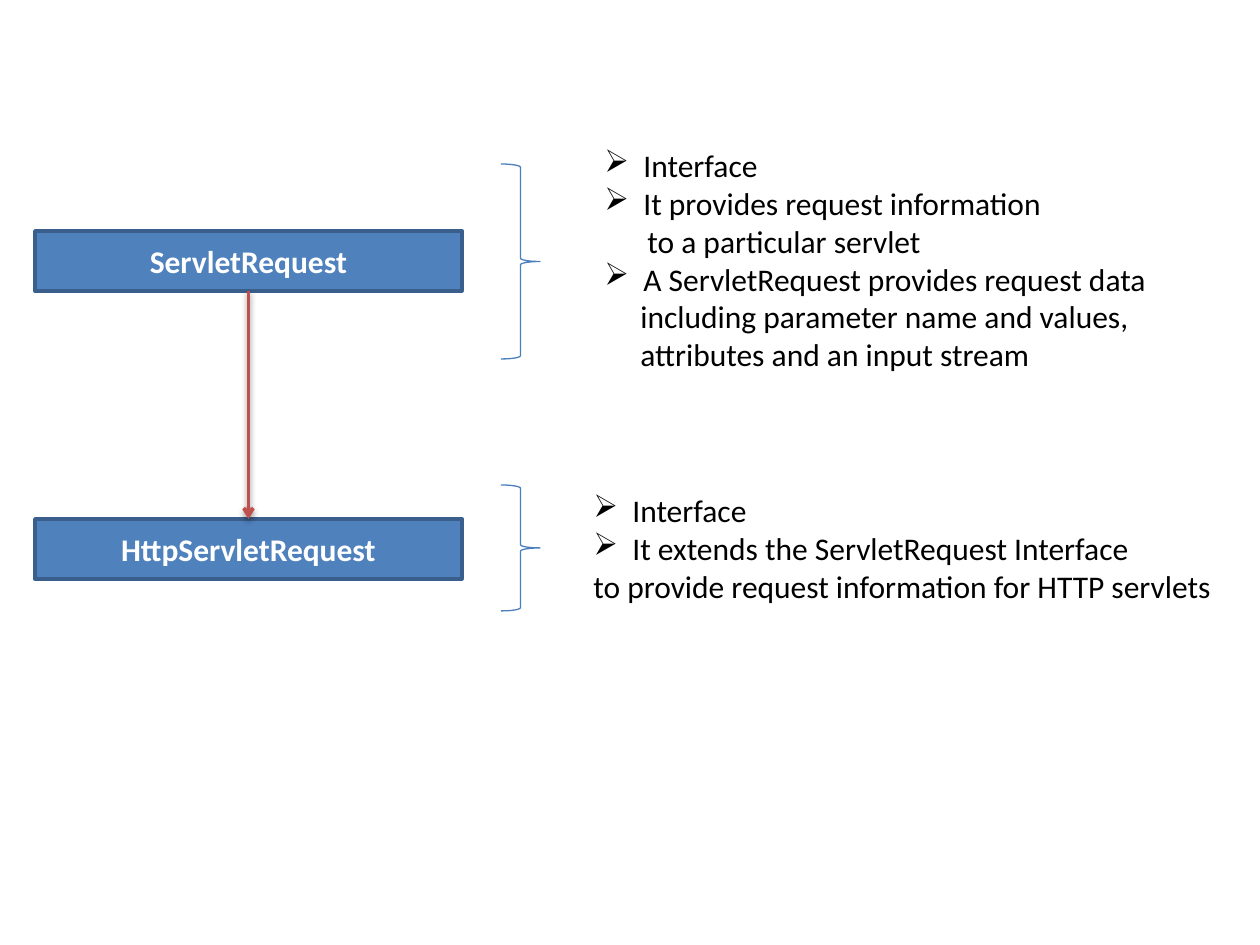
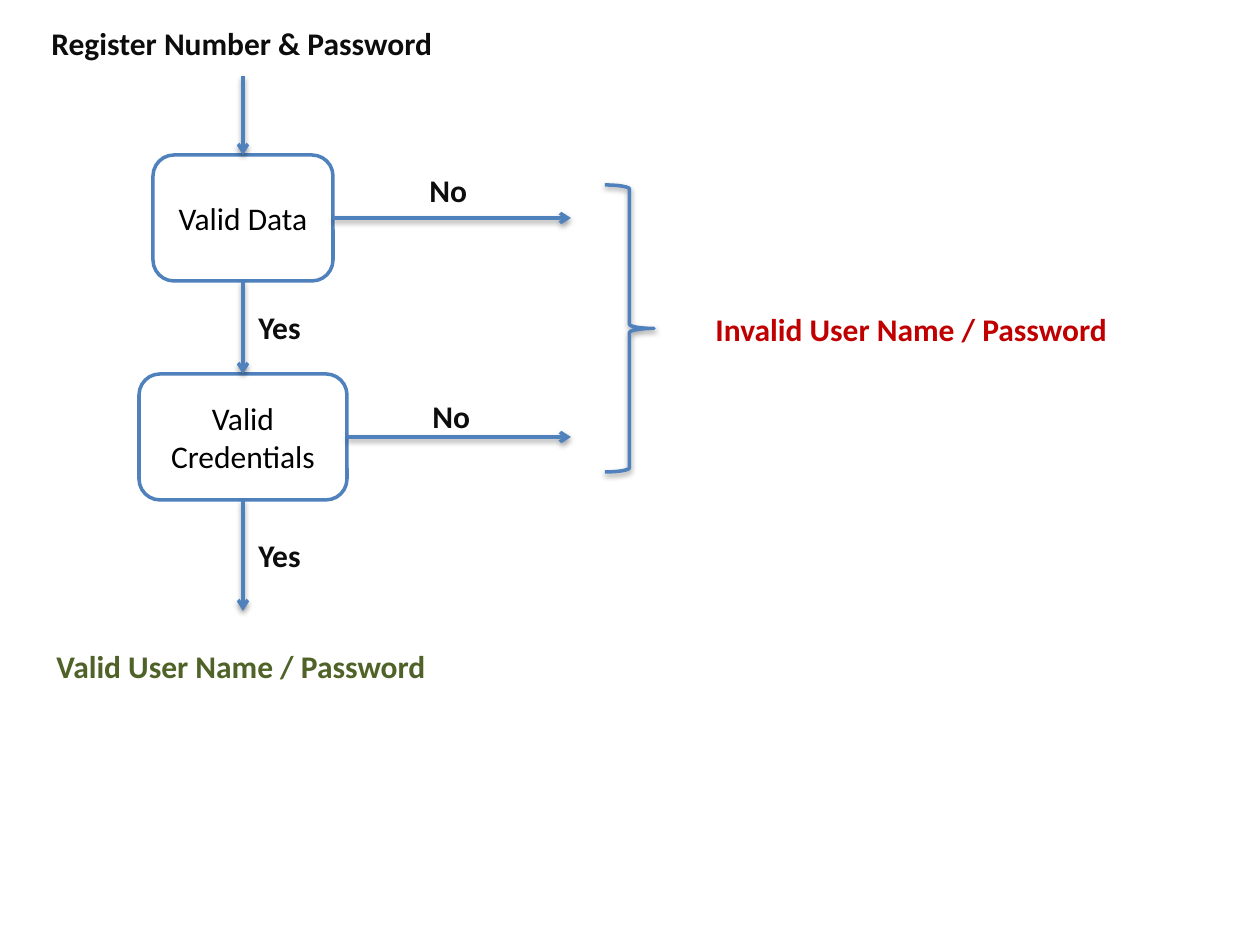
from pptx import Presentation
from pptx.dml.color import RGBColor
from pptx.enum import shapes, text
from pptx.oxml import parse_xml
from pptx.oxml.ns import nsdecls
from pptx.util import Pt

PX = 914400 / 126
WHITE = RGBColor(0xFF, 0xFF, 0xFF)
BLACK = RGBColor(0x00, 0x00, 0x00)
INK = RGBColor(0x0D, 0x0D, 0x0D)
BLUE = RGBColor(0x4F, 0x81, 0xBD)
DARK_BLUE = RGBColor(0x3A, 0x5F, 0x8C)
BRACE_BLUE = RGBColor(0x4B, 0x7E, 0xBC)
RED = RGBColor(0xC0, 0x50, 0x4D)
DARK_RED = RGBColor(0xC0, 0x00, 0x00)
GREEN = RGBColor(0x4F, 0x62, 0x28)

SHADOW = (f'<a:effectLst {nsdecls("a")}><a:outerShdw blurRad="40000" dist="20000" '
          'dir="5400000" rotWithShape="0"><a:srgbClr val="000000">'
          '<a:alpha val="38000"/></a:srgbClr></a:outerShdw></a:effectLst>')
BULLET_INDENT = 39


def write(shape, lines, color=BLACK, bold=False, centred=False, wrap=True):
    """Fill a shape with (words, left indent, bulleted) lines, or with one string."""
    if isinstance(lines, str):
        lines = [(lines, 0, False)]
    frame = shape.text_frame
    frame.word_wrap = wrap
    if centred:
        frame.vertical_anchor = text.MSO_ANCHOR.MIDDLE
    for number, (words, indent, bulleted) in enumerate(lines):
        paragraph = frame.add_paragraph() if number else frame.paragraphs[0]
        if centred:
            paragraph.alignment = text.PP_ALIGN.CENTER
        properties = paragraph._p.get_or_add_pPr()
        properties.set("marL", str(round(indent * PX)))
        if bulleted:
            properties.set("indent", str(round(-indent * PX)))
            properties.append(parse_xml(f'<a:buChar {nsdecls("a")} char="➢"/>'))
        run = paragraph.add_run()
        run.text = words
        run.font.name = "Calibri"
        run.font.size = Pt(18)
        run.font.bold = bold
        run.font.color.rgb = color


def add_arrow(slide, start, end, color, source=None, target=None):
    """Draw a shadowed arrow; source and target are (shape, connection site)."""
    arrow = slide.shapes.add_connector(
        shapes.MSO_CONNECTOR.STRAIGHT, *(round(n * PX) for n in (*start, *end)))
    if source:
        arrow.begin_connect(*source)
    if target:
        arrow.end_connect(*target)
    arrow.line.color.rgb = color
    arrow.line.width = Pt(2)
    arrow.line._get_or_add_ln().append(
        parse_xml(f'<a:tailEnd {nsdecls("a")} type="arrow"/>'))
    arrow._element.spPr.append(parse_xml(SHADOW))


presentation = Presentation()
presentation.slide_width = round(1260 * PX)
presentation.slide_height = round(945 * PX)
blank_layout = presentation.slide_layouts[6]

# Slide 1: request interfaces
slide = presentation.slides.add_slide(blank_layout)
interfaces = []
for name, top in (("ServletRequest", 231), ("HttpServletRequest", 519)):
    box = slide.shapes.add_shape(shapes.MSO_SHAPE.RECTANGLE,
                                 *(round(n * PX) for n in (35, top, 427, 60)))
    box.shadow.inherit = False
    box.fill.solid()
    box.fill.fore_color.rgb = BLUE
    box.line.color.rgb = DARK_BLUE
    box.line.width = Pt(2)
    write(box, name, color=WHITE, bold=True, centred=True)
    interfaces.append(box)
add_arrow(slide, (248, 291), (248, 519), RED, (interfaces[0], 2), (interfaces[1], 0))

for top, height in ((164, 195), (485, 126)):
    brace = slide.shapes.add_shape(shapes.MSO_SHAPE.RIGHT_BRACE,
                                   *(round(n * PX) for n in (501, top, 39, height)))
    brace.shadow.inherit = False
    brace.fill.background()
    brace.line.color.rgb = BRACE_BLUE
    brace.line.width = Pt(0.75)

request_notes = [
    ("Interface", BULLET_INDENT, True),
    ("It provides request information", BULLET_INDENT, True),
    ("to a particular servlet", 43, False),
    ("A ServletRequest provides request data", BULLET_INDENT, True),
    ("including parameter name and values,", 36, False),
    ("attributes and an input stream", 36, False),
]
http_notes = [
    ("Interface", BULLET_INDENT, True),
    ("It extends the ServletRequest Interface", BULLET_INDENT, True),
    ("to provide request information for HTTP servlets", 0, False),
]
for notes, place, wrap in ((request_notes, (592, 140, 650, 242), True),
                           (http_notes, (581, 485, 650, 127), False)):
    box = slide.shapes.add_textbox(*(round(n * PX) for n in place))
    write(box, notes, wrap=wrap)

# Slide 2: login checks
slide = presentation.slides.add_slide(blank_layout)
checks = []
for name, left, top, width in (("Valid Data", 153, 155, 180),
                               ("Valid Credentials", 139, 374, 208)):
    box = slide.shapes.add_shape(shapes.MSO_SHAPE.ROUNDED_RECTANGLE,
                                 *(round(n * PX) for n in (left, top, width, 126)))
    box.shadow.inherit = False
    box.fill.solid()
    box.fill.fore_color.rgb = WHITE
    box.line.color.rgb = BLUE
    box.line.width = Pt(2)
    write(box, name, centred=True)
    checks.append(box)
data_check, credentials_check = checks

for start, end, source, target in (
    ((243, 76), (243, 155), None, (data_check, 0)),
    ((243, 281), (243, 374), (data_check, 2), (credentials_check, 0)),
    ((333, 218), (571, 218), (data_check, 3), None),
    ((347, 437), (571, 437), (credentials_check, 3), None),
    ((243, 500), (243, 611), (credentials_check, 2), None),
):
    add_arrow(slide, start, end, BLUE, source, target)

brace = slide.shapes.add_shape(shapes.MSO_SHAPE.RIGHT_BRACE,
                               *(round(n * PX) for n in (605, 185, 49, 287)))
brace.fill.background()
brace.line.color.rgb = BLUE
brace.line.width = Pt(2)
brace._element.spPr.append(parse_xml(SHADOW))

for words, left, top, width, color in (
    ("Invalid User Name / Password", 703, 304, 421, DARK_RED),
    ("Valid User Name / Password", 44, 641, 398, GREEN),
    ("Register Number & Password", 39, 18, 410, INK),
    ("No", 417, 165, 63, INK),
    ("No", 420, 391, 63, INK),
    ("Yes", 246, 302, 68, INK),
    ("Yes", 246, 530, 68, INK),
):
    label = slide.shapes.add_textbox(*(round(n * PX) for n in (left, top, width, 50)))
    write(label, words, color=color, bold=True, wrap=False)

presentation.save("out.pptx")
